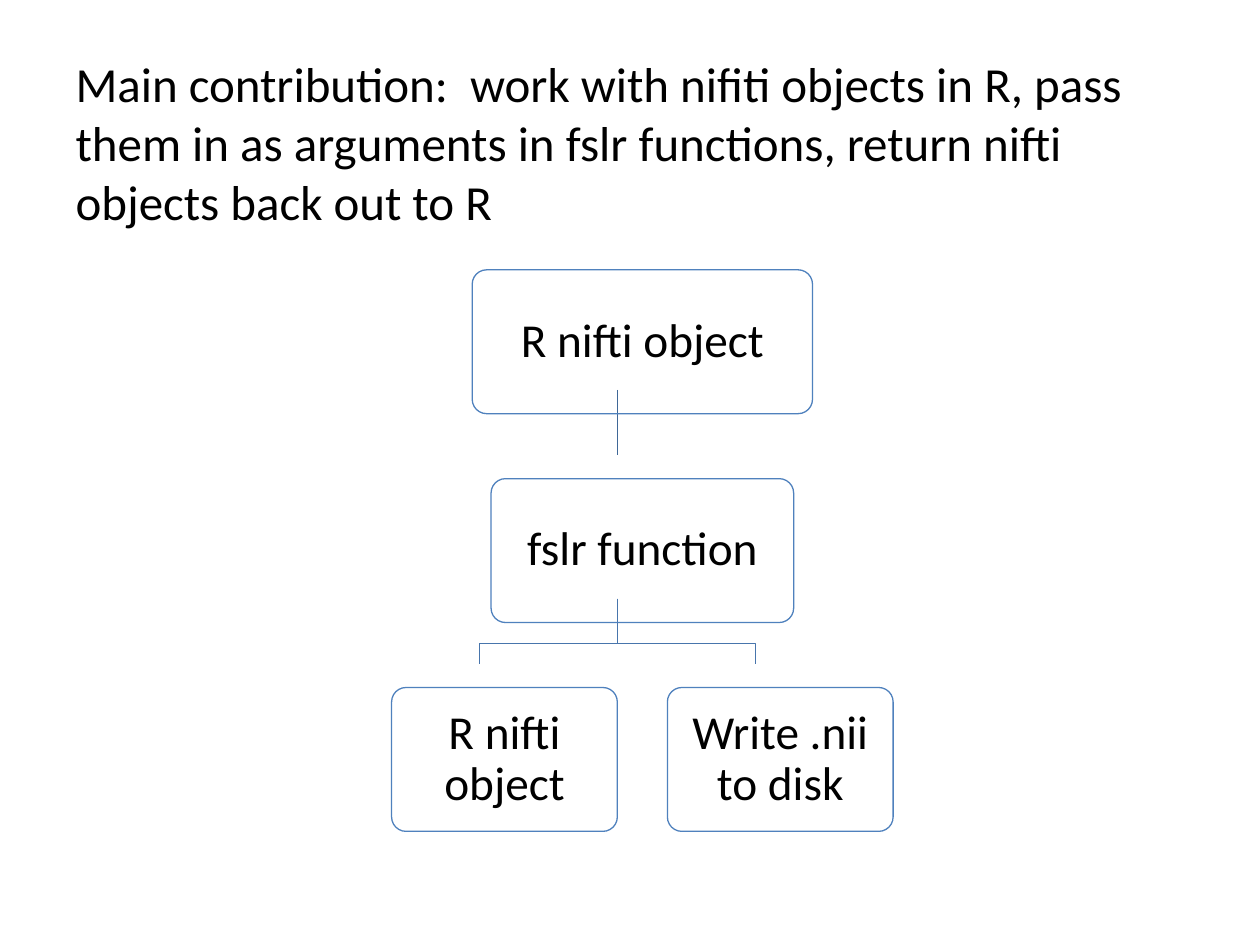
"""Build a slide showing how nifti objects flow through fslr functions."""

from dataclasses import dataclass

import pptx
import pptx.dml.color
import pptx.enum.shapes
import pptx.enum.text
import pptx.oxml
import pptx.oxml.ns
import pptx.util

Cm = pptx.util.Cm
Pt = pptx.util.Pt
RGB = pptx.dml.color.RGBColor


@dataclass(frozen=True)
class Theme:
    font: str = "Calibri"
    title_size: float = 28
    step_size: float = 27
    line_width: float = 0.75
    text: RGB = RGB(0x00, 0x00, 0x00)
    outline: RGB = RGB(0x4F, 0x81, 0xBD)
    call_link: RGB = RGB(0x3F, 0x67, 0x97)
    result_link: RGB = RGB(0x48, 0x75, 0xAC)


THEME = Theme()
CENTRE = 12.95
FIRST_TOP = 5.44
STEP_HEIGHT = 2.9
LEVEL_PITCH = 4.21
RESULT_OFFSET = 2.78
LINK_SHIFT_X = -0.5
LINK_SHIFT_Y = -0.48
LINK_LENGTH = 1.31
BRANCH_DROP = 0.91


def level_top(level):
    return FIRST_TOP + level * LEVEL_PITCH


def link_start(level):
    return CENTRE + LINK_SHIFT_X, level_top(level) + STEP_HEIGHT + LINK_SHIFT_Y


def style_text(paragraph, size, alignment):
    paragraph.alignment = alignment
    paragraph.font.name = THEME.font
    paragraph.font.size = Pt(size)
    paragraph.font.color.rgb = THEME.text


def style_line(line, color):
    line.color.rgb = color
    line.width = Pt(THEME.line_width)


def set_title(slide, wording):
    title = slide.shapes.title
    title.left, title.top = Cm(1.27), Cm(0.76)
    title.width, title.height = Cm(22.86), Cm(4.19)
    frame = title.text_frame
    frame.text = wording
    frame.auto_size = pptx.enum.text.MSO_AUTO_SIZE.NONE
    frame.vertical_anchor = pptx.enum.text.MSO_ANCHOR.MIDDLE
    style_text(frame.paragraphs[0], THEME.title_size, pptx.enum.text.PP_ALIGN.LEFT)


def add_step(slide, wording, level, width, offset=0):
    step = slide.shapes.add_shape(
        pptx.enum.shapes.MSO_SHAPE.ROUNDED_RECTANGLE,
        Cm(CENTRE + offset - width / 2), Cm(level_top(level)),
        Cm(width), Cm(STEP_HEIGHT))
    step.adjustments[0] = 0.1
    step.shadow.inherit = False
    step.fill.background()
    style_line(step.line, THEME.outline)
    frame = step.text_frame
    frame.text = wording
    frame.word_wrap = True
    frame.vertical_anchor = pptx.enum.text.MSO_ANCHOR.MIDDLE
    frame.margin_left = frame.margin_right = Cm(0.36)
    frame.margin_top = frame.margin_bottom = Cm(0.36)
    paragraph = frame.paragraphs[0]
    paragraph.line_spacing = 0.9
    style_text(paragraph, THEME.step_size, pptx.enum.text.PP_ALIGN.CENTER)


def add_call_link(slide, level):
    x, y = link_start(level)
    link = slide.shapes.add_connector(
        pptx.enum.shapes.MSO_CONNECTOR.STRAIGHT,
        Cm(x), Cm(y), Cm(x), Cm(y + LINK_LENGTH))
    style_line(link.line, THEME.call_link)
    properties = link._element.spPr
    properties.append(pptx.oxml.parse_xml(
        f"<a:effectLst {pptx.oxml.ns.nsdecls('a')}/>"))


def add_result_link(slide, level, offset):
    x, y = link_start(level)
    bend = y + BRANCH_DROP
    builder = slide.shapes.build_freeform(Cm(x), Cm(y))
    corners = [(x, bend), (x + offset, bend), (x + offset, y + LINK_LENGTH)]
    builder.add_line_segments(
        [(Cm(across), Cm(down)) for across, down in corners], close=False)
    link = builder.convert_to_shape()
    link.shadow.inherit = False
    link.fill.background()
    style_line(link.line, THEME.result_link)


def main():
    deck = pptx.Presentation()
    deck.slide_width, deck.slide_height = Cm(25.4), Cm(19.05)
    slide = deck.slides.add_slide(deck.slide_layouts[5])
    set_title(slide, "Main contribution:  work with nifiti objects in R, pass them in "
                     "as arguments in fslr functions, return nifti objects back out to R")

    results = [("R nifti object", -RESULT_OFFSET), ("Write .nii to disk", RESULT_OFFSET)]
    for _, offset in reversed(results):
        add_result_link(slide, 1, offset)
    add_call_link(slide, 0)

    add_step(slide, "R nifti object", 0, 6.86)
    add_step(slide, "fslr function", 1, 6.1)
    for wording, offset in results:
        add_step(slide, wording, 2, 4.55, offset)
    deck.save("out.pptx")


if __name__ == "__main__":
    main()
